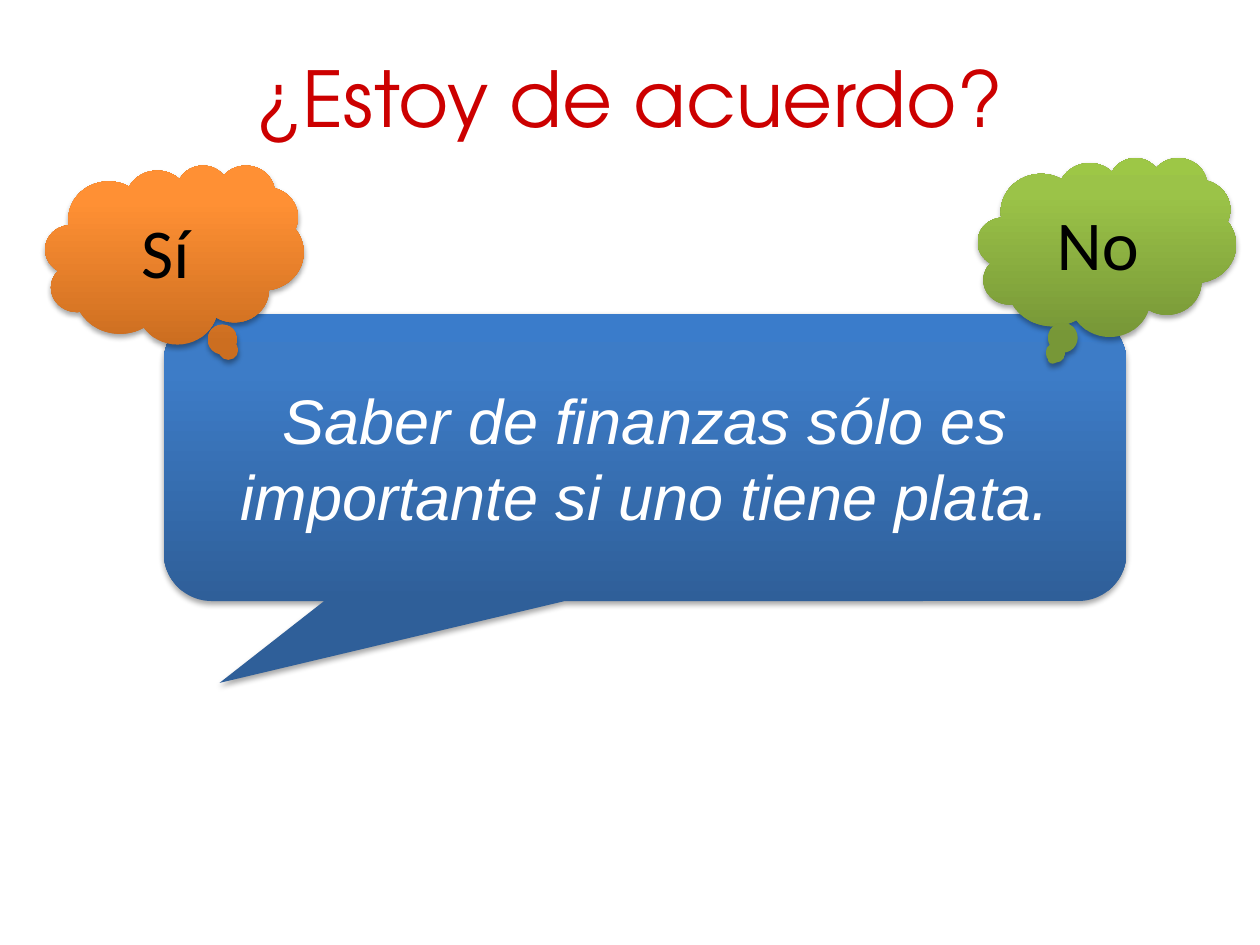
"""Build the opinion slide: a statement bubble between a yes cloud and a no cloud."""
from copy import deepcopy

from lxml import etree
from pptx import Presentation
from pptx.dml.color import RGBColor
from pptx.enum.shapes import MSO_SHAPE
from pptx.enum.text import MSO_ANCHOR, PP_ALIGN
from pptx.oxml.ns import qn
from pptx.util import Inches, Pt

BUBBLE = MSO_SHAPE.ROUNDED_RECTANGULAR_CALLOUT
CLOUD = MSO_SHAPE.CLOUD_CALLOUT
MIDDLE, CENTER = MSO_ANCHOR.MIDDLE, PP_ALIGN.CENTER

WIDE, HIGH = 10, 7.5
TITLE = "¿Estoy de acuerdo?"
STOPS = (0, 0.8, 1)
CALLOUTS = [
    dict(kind=BUBBLE, box=(1.3, 2.49, 7.64, 2.28), tail=(-0.442, 0.785, 0.167),
         shades=("2F5F99", "3D7CC7", "3A7CCB"),
         text="Saber de finanzas sólo es importante si uno tiene plata.",
         font=("Arial", 36, "FFFFFF", True)),
    dict(kind=CLOUD, box=(7.76, 1.25, 2.05, 1.42), tail=(-0.21, 0.625),
         shades=("779737", "9BC348", "9DC746"),
         text="No", font=("Calibri", 40, "000000", False)),
    dict(kind=CLOUD, box=(0.36, 1.31, 2.05, 1.42), tail=(0.212, 0.543),
         shades=("CC6E20", "FF9034", "FF9136"),
         text="Sí", font=("Calibri", 40, "000000", False)),
]


def tint(target, value):
    target.rgb = RGBColor.from_string(value)


def place(shape, box):
    shape.left, shape.top, shape.width, shape.height = map(Inches, box)


def write(shape, text, name, size, color, slant=False):
    frame = shape.text_frame
    frame.text = text
    frame.word_wrap = True
    frame.vertical_anchor = MIDDLE
    line = frame.paragraphs[0]
    line.alignment = CENTER
    font = line.runs[0].font
    font.name, font.size, font.italic = name, Pt(size), slant
    tint(font.color, color)


def shade(shape, colors):
    fill = shape.fill
    fill.gradient()
    fill.gradient_angle = 90
    stops = shape._element.spPr.find(".//" + qn("a:gsLst"))
    stops.append(deepcopy(stops[-1]))
    for stop, spot, color in zip(fill.gradient_stops, STOPS, colors):
        stop.position = spot
        tint(stop.color, color)


def lift(shape):
    shape.shadow.inherit = False
    effects = shape._element.spPr.find(qn("a:effectLst"))
    shadow = etree.SubElement(
        effects, qn("a:outerShdw"), blurRad=str(Pt(3.1)), dist=str(Pt(1.8)),
        dir=str(90 * 60000), rotWithShape="0")
    black = etree.SubElement(shadow, qn("a:srgbClr"), val="000000")
    etree.SubElement(black, qn("a:alpha"), val="35000")


def callout(slide, kind, box, tail, shades, text, font):
    shape = slide.shapes.add_shape(kind, *map(Inches, box))
    for index, value in enumerate(tail):
        shape.adjustments[index] = value
    shade(shape, shades)
    shape.line.fill.background()
    lift(shape)
    write(shape, text, *font)


def main():
    deck = Presentation()
    deck.slide_width, deck.slide_height = Inches(WIDE), Inches(HIGH)
    slide = deck.slides.add_slide(deck.slide_layouts[5])
    title = slide.shapes.title
    place(title, (0.05 * WIDE, 0.04 * HIGH, 0.9 * WIDE, 0.93))
    write(title, TITLE, "TeX Gyre Adventor", 44, "CC0000")
    for item in CALLOUTS:
        callout(slide, **item)
    deck.save("out.pptx")


if __name__ == "__main__":
    main()
